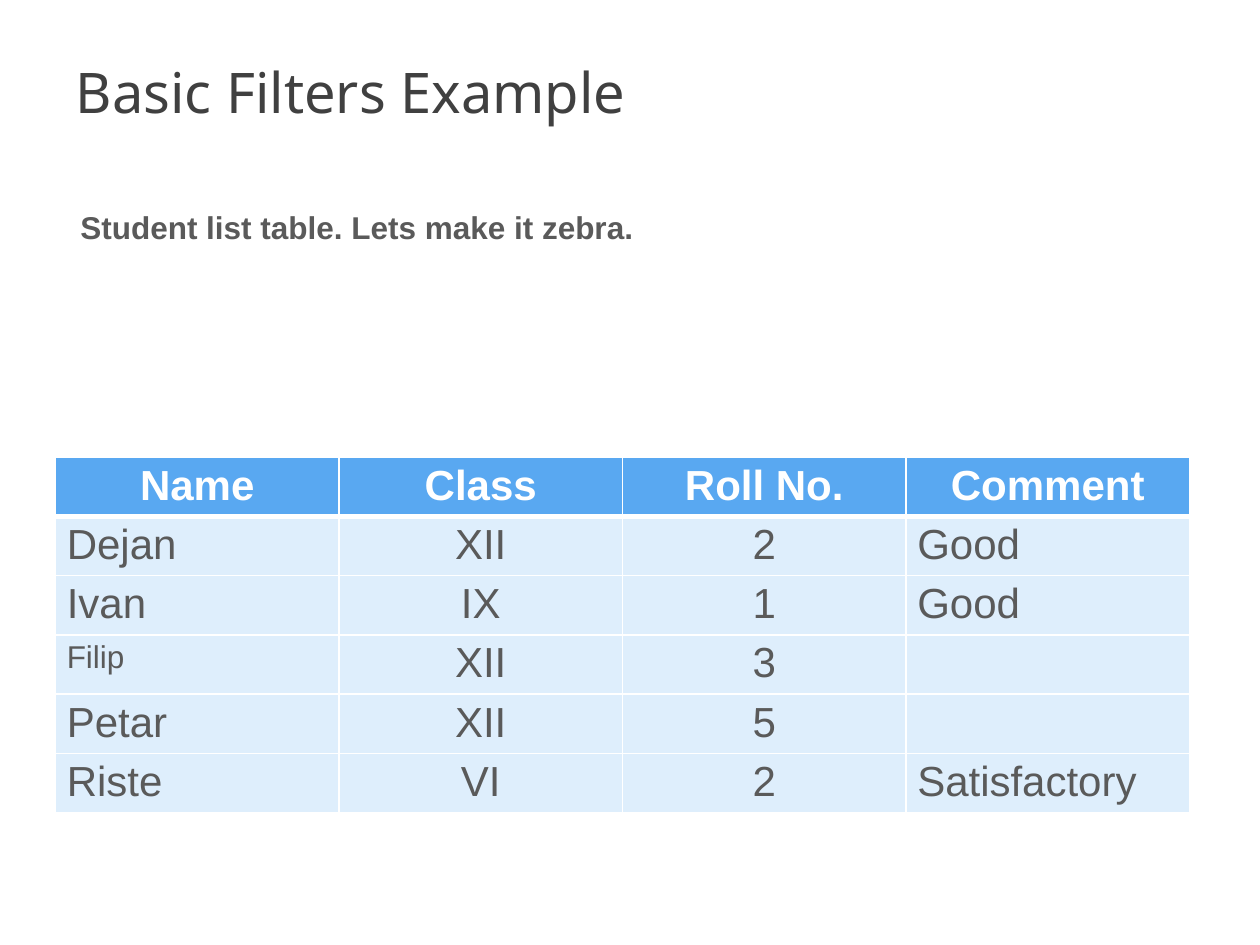
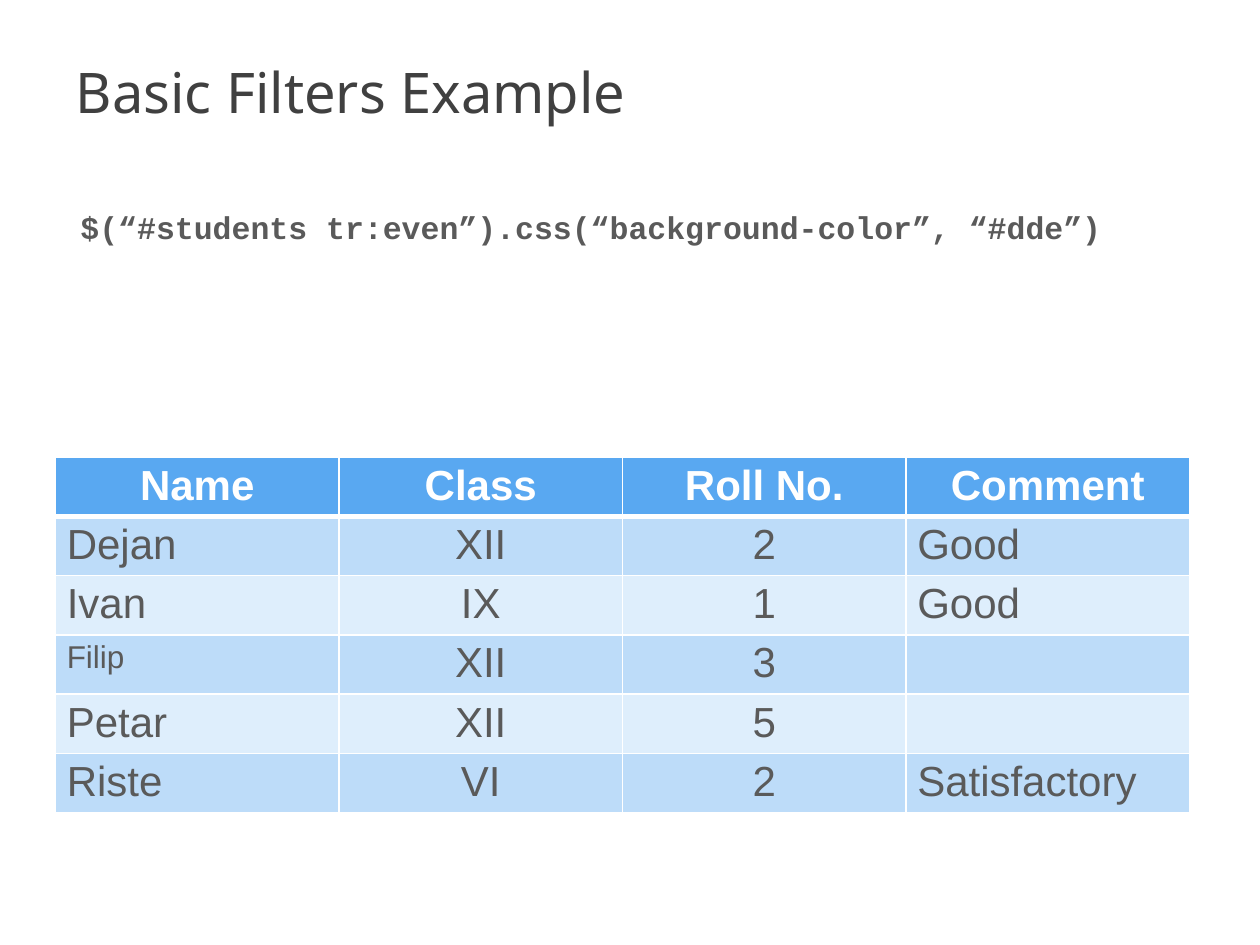
from lxml import etree
from pptx import Presentation
from pptx import util as u
from pptx.dml.color import RGBColor
from pptx.enum import text
from pptx.oxml.ns import qn

PX = 9144  # EMU in one px, 100 px to the inch

WHITE, GREY, DARK = "FFFFFF", "5A5A5A", "404040"
HEADER, LIGHT, BAND = "59A8F1", "DEEEFC", "BDDCF9"
TITLE_FONT, BODY_FONT, CODE_FONT = "Noto Sans", "Arial", "Courier New"
LEFT, CENTER = text.PP_ALIGN.LEFT, text.PP_ALIGN.CENTER

STUDENTS = [
    ("Name", "Class", "Roll No.", "Comment"),
    ("Dejan", "XII", "2", "Good"),
    ("Ivan", "IX", "1", "Good"),
    ("Filip", "XII", "3", ""),
    ("Petar", "XII", "5", ""),
    ("Riste", "VI", "2", "Satisfactory"),
]
COLUMN_ALIGN = (LEFT, CENTER, CENTER, LEFT)


def px(n):
    return u.Emu(n * PX)


def rgb(code):
    return RGBColor.from_string(code)


def write(tf, words, size=18, font=BODY_FONT, color=GREY, bold=False, align=LEFT):
    p = tf.paragraphs[0]
    p.alignment = align
    if not words:
        return
    r = p.add_run()
    r.text = words
    r.font.size = u.Pt(size)
    r.font.name = font
    r.font.bold = bold
    r.font.color.rgb = rgb(color)


def border(cell, side, points, color=WHITE):
    tcPr = cell._tc.get_or_add_tcPr()
    ln = etree.SubElement(tcPr, qn("a:ln" + side), w=str(u.Pt(points)))
    fill = etree.SubElement(ln, qn("a:solidFill"))
    etree.SubElement(fill, qn("a:srgbClr"), val=color)


class Deck:
    def __init__(self):
        self.prs = Presentation()
        self.prs.slide_width, self.prs.slide_height = px(1000), px(750)
        self.s = None

    def slide(self, title):
        self.s = self.prs.slides.add_slide(self.prs.slide_layouts[5])
        sp = self.s.shapes.title
        sp.left, sp.top, sp.width, sp.height = px(50), px(25), px(900), px(95)
        tf = sp.text_frame
        tf.vertical_anchor = text.MSO_ANCHOR.MIDDLE
        tf.auto_size = text.MSO_AUTO_SIZE.NONE
        write(tf, title, size=32, font=TITLE_FONT, color=DARK)

    def statement(self, words, font=BODY_FONT):
        sp = self.s.shapes.add_textbox(px(54), px(160), px(893), px(71))
        sp.text_frame.word_wrap = True
        write(sp.text_frame, words, font=font, bold=True)

    def table(self, rows, odd_fill, even_fill):
        n, m = len(rows), len(rows[0])
        frame = self.s.shapes.add_table(n, m, px(44), px(363), px(225 * m), px(47 * n))
        tbl = frame.table
        tbl.horz_banding = False
        for i, row in enumerate(rows):
            fill = HEADER if i == 0 else odd_fill if i % 2 else even_fill
            for j, words in enumerate(row):
                self.cell(tbl.cell(i, j), words, i, j, fill)

    def cell(self, cell, words, row, column, fill):
        cell.margin_left = cell.margin_right = px(9)
        cell.margin_top = cell.margin_bottom = px(4)
        # The rule under the header is thicker than the others
        for side, thick in (("L", False), ("R", False), ("T", row == 1), ("B", row == 0)):
            border(cell, side, 3 if thick else 1)
        cell.fill.solid()
        cell.fill.fore_color.rgb = rgb(fill)
        if row == 0:
            style = dict(size=24, color=WHITE, bold=True, align=CENTER)
        else:
            style = dict(size=18 if words == "Filip" else 24, align=COLUMN_ALIGN[column])
        write(cell.text_frame, words, **style)


def main():
    deck = Deck()

    # Plain student list
    deck.slide("Basic Filters Example")
    deck.table(STUDENTS, LIGHT, LIGHT)
    deck.statement("Student list table. Lets make it zebra.")

    # Zebra student list
    deck.slide("Basic Filters Example")
    deck.table(STUDENTS, BAND, LIGHT)
    deck.statement("$(“#students tr:even”).css(“background-color”, “#dde”)", font=CODE_FONT)

    deck.prs.save("out.pptx")


if __name__ == "__main__":
    main()
